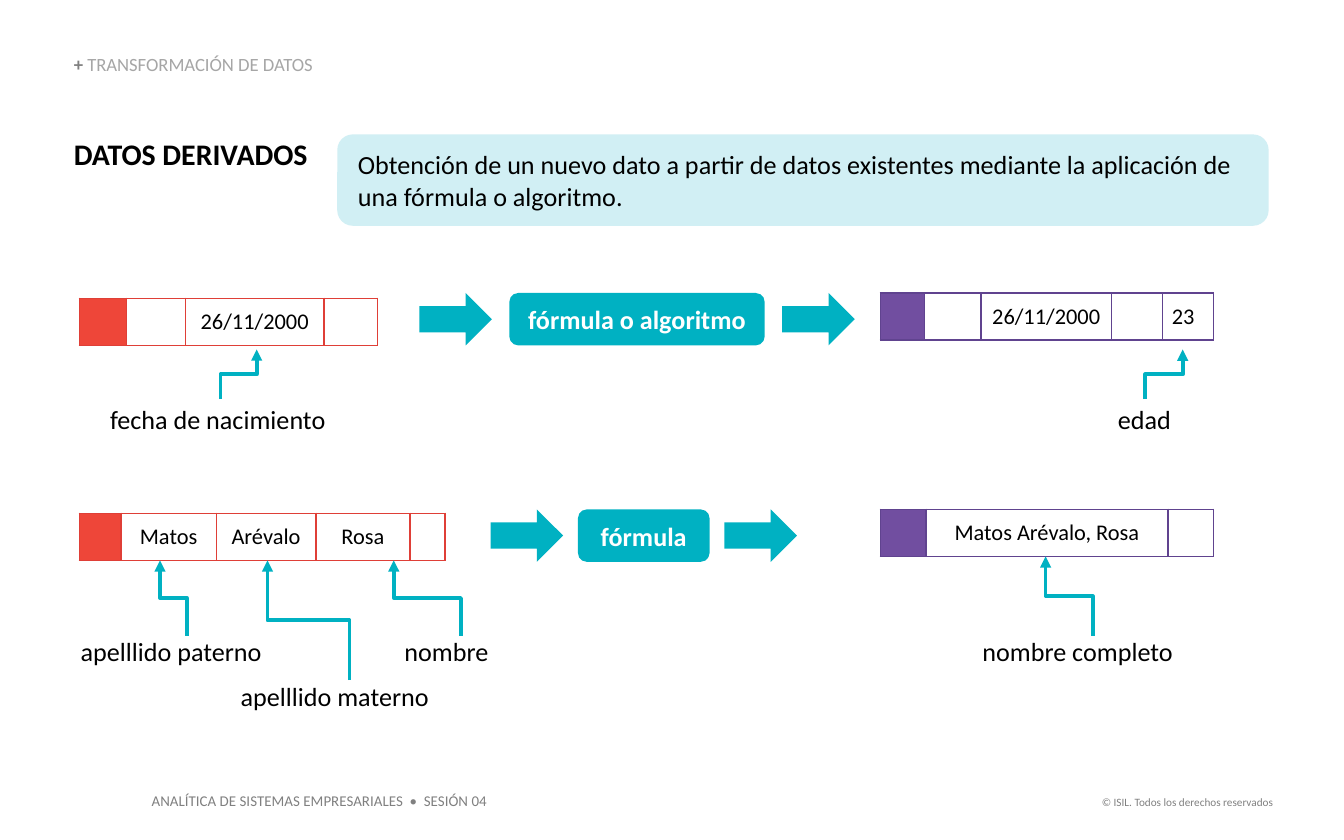
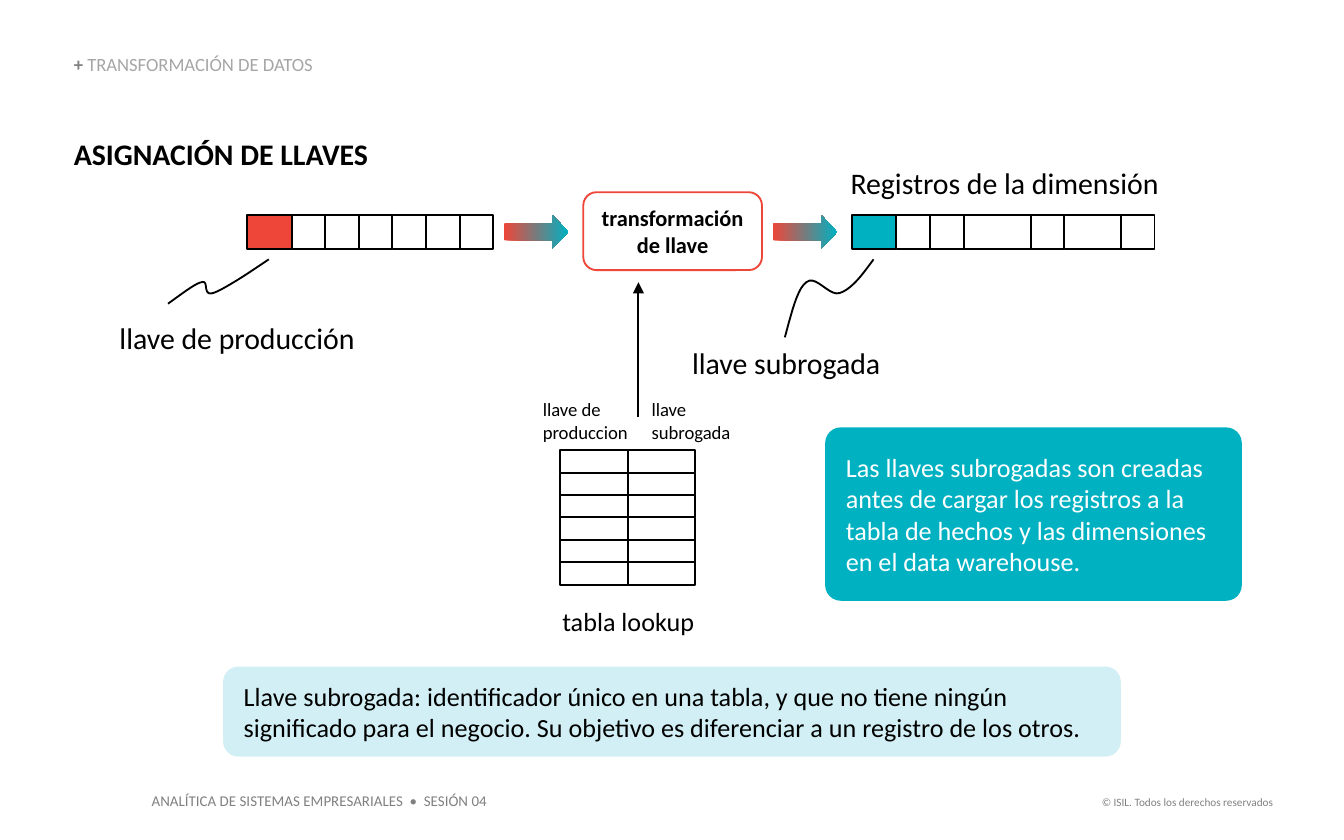
"""Builds two slides on derived data and key assignment."""
from lxml.etree import SubElement
from pptx import Presentation
from pptx.dml.color import RGBColor
from pptx.enum.shapes import MSO_CONNECTOR, MSO_SHAPE
from pptx.enum.text import MSO_ANCHOR, MSO_AUTO_SIZE, PP_ALIGN
from pptx.oxml.ns import qn
from pptx.util import Inches, Pt

COLORS = {
    "black": "000000", "white": "FFFFFF", "gray": "808080", "light_gray": "A6A6A6",
    "teal": "00B1C2", "pale_teal": "D1EFF4", "red": "EE4639", "red_border": "DF3F37",
    "purple": "714EA0", "purple_border": "60438F",
}
FONT = "Calibri"
LEFT, CENTER, RIGHT = PP_ALIGN.LEFT, PP_ALIGN.CENTER, PP_ALIGN.RIGHT
TOP, MIDDLE, BOTTOM = MSO_ANCHOR.TOP, MSO_ANCHOR.MIDDLE, MSO_ANCHOR.BOTTOM
NO_INSETS = (0, 0, 0, 0)
INSETS = (0.1, 0.05, 0.1, 0.05)
BOX_INSETS = (0.12, 0.05, 0.1, 0.05)
CELL_INSETS = (0.07, 0.03, 0.07, 0.03)

SECTION = [("+ ", "gray", True), ("TRANSFORMACIÓN DE DATOS", "light_gray", False)]
FOOTERS = [
    ("ANALÍTICA DE SISTEMAS EMPRESARIALES  •  SESIÓN 04", (1.03, 5.84, 2.7, 0.24), 8, LEFT),
    ("© ISIL. Todos los derechos reservados", (8.07, 5.87, 1.5, 0.2), 6, RIGHT),
]

DERIVED = {
    "definition": "Obtención de un nuevo dato a partir de datos existentes "
                  "mediante la aplicación de una fórmula o algoritmo.",
    "records": [
        ((0.59, 2.22), "red", [0.35, 0.44, 1.03, 0.4], ["", "", "26/11/2000", ""]),
        ((6.55, 2.18), "purple", [0.33, 0.42, 0.97, 0.38, 0.38], ["", "", "26/11/2000", "", "23"]),
        ((0.59, 3.82), "red", [0.31, 0.71, 0.74, 0.7, 0.26], ["", "Matos", "Arévalo", "Rosa", ""]),
        ((6.55, 3.79), "purple", [0.34, 1.8, 0.34], ["", "Matos Arévalo, Rosa", ""]),
    ],
    "processes": [
        ("fórmula o algoritmo", 2.18, 3.79, 1.9, (3.12, 5.82)),
        ("fórmula", 3.79, 4.3, 0.98, (3.65, 5.39)),
    ],
    "labels": [
        ("fecha de nacimiento", (0.72, 2.95, 1.82, 0.34), INSETS),
        ("edad", (8.22, 2.95, 0.6, 0.34), INSETS),
        ("apelllido paterno", (0.6, 4.73, 1.57, 0.24), NO_INSETS),
        ("apelllido materno", (1.79, 5.06, 1.62, 0.24), NO_INSETS),
        ("nombre", (3.01, 4.73, 0.83, 0.24), NO_INSETS),
        ("nombre completo", (7.31, 4.73, 1.63, 0.24), NO_INSETS),
    ],
    "pointers": [
        ((1.64, 2.97), (1.91, 2.6)), ((8.52, 2.97), (8.8, 2.6)),
        ((1.39, 4.73), (1.19, 4.17)), ((2.6, 5.06), (1.99, 4.17)),
        ((3.43, 4.73), (2.93, 4.17)), ((8.13, 4.73), (7.78, 4.14)),
    ],
}

KEYS = {
    "records": [
        (1.84, "red", [0.33] + [0.25] * 6),
        (6.34, "teal", [0.33, 0.25, 0.25, 0.5, 0.25, 0.42, 0.25]),
    ],
    "arrows": [3.75, 5.75],
    "labels": [
        ("llave de producción", (0.7, 2.33, 2.13, 0.37), 16, CENTER),
        ("llave subrogada", (4.97, 2.51, 1.76, 0.37), 16, CENTER),
        ("Registros de la dimensión", (6.23, 1.17, 2.88, 0.37), 16, LEFT),
        ("llave de\nproduccion", (3.94, 2.91, 0.88, 0.44), 10, LEFT),
        ("llave\nsubrogada", (4.75, 2.91, 0.86, 0.44), 10, LEFT),
        ("tabla lookup", (4.03, 4.45, 1.29, 0.34), 14, CENTER),
    ],
    "curves": [
        [(1.25, 2.26), (1.35, 2.19), (1.45, 2.11), (1.5, 2.1), (1.56, 2.08),
         (1.5, 2.21), (1.59, 2.18), (1.67, 2.15), (1.84, 2.04), (2, 1.93)],
        [(5.84, 2.51), (5.89, 2.33), (5.93, 2.15), (6, 2.1), (6.07, 2.04),
         (6.17, 2.21), (6.25, 2.18), (6.34, 2.15), (6.42, 2.04), (6.5, 1.93)],
    ],
    "boxes": [
        ("Llave subrogada: identificador único en una tabla, y que no tiene ningún significado "
         "para el negocio. Su objetivo es diferenciar a un registro de los otros.",
         (1.66, 4.96, 6.68, 0.67), "pale_teal", "black", 0.17),
        ("Las llaves subrogadas son creadas antes de cargar los registros a la tabla de hechos "
         "y las dimensiones en el data warehouse.",
         (6.14, 3.18, 3.1, 1.29), "teal", "white", 0.09),
    ],
}


def rgb(name):
    return RGBColor.from_string(COLORS[name])


def set_attributes(target, values):
    for name, value in values.items():
        setattr(target, name, value)


def inches(*lengths):
    return [Inches(length) for length in lengths]


def margins(insets):
    sides = ("margin_left", "margin_top", "margin_right", "margin_bottom")
    return dict(zip(sides, inches(*insets)))


def add_run(paragraph, text, size, color, bold=False):
    run = paragraph.add_run()
    run.text = text
    set_attributes(run.font, {"name": FONT, "size": Pt(size), "bold": bold})
    run.font.color.rgb = rgb(color)


def write(frame, text, size, color="black", bold=False, align=LEFT):
    for index, line in enumerate(text.split("\n")):
        paragraph = frame.add_paragraph() if index else frame.paragraphs[0]
        paragraph.alignment = align
        add_run(paragraph, line, size, color, bold)


def add_frame(slide, place, insets=NO_INSETS, anchor=TOP, wrap=True):
    frame = slide.shapes.add_textbox(*inches(*place)).text_frame
    set_attributes(frame, {"word_wrap": wrap, "auto_size": MSO_AUTO_SIZE.SHAPE_TO_FIT_TEXT,
                           "vertical_anchor": anchor, **margins(insets)})
    return frame


def paint(shape, fill=None, line=None):
    shape.shadow.inherit = False
    if fill:
        shape.fill.solid()
        shape.fill.fore_color.rgb = rgb(fill)
    else:
        shape.fill.background()
    if line:
        shape.line.color.rgb = rgb(line)
        shape.line.width = Pt(1)
    else:
        shape.line.fill.background()


def add_shape(slide, kind, place, fill=None, line=None):
    shape = slide.shapes.add_shape(kind, *inches(*place))
    paint(shape, fill, line)
    return shape


def add_box(slide, text, place, fill, color, adjustment=0.17, line=None,
            size=14, bold=False, align=LEFT, insets=BOX_INSETS):
    box = add_shape(slide, MSO_SHAPE.ROUNDED_RECTANGLE, place, fill, line)
    box.adjustments[0] = adjustment
    set_attributes(box.text_frame, {"word_wrap": True, "vertical_anchor": MIDDLE, **margins(insets)})
    write(box.text_frame, text, size, color, bold, align)


def add_arrow(slide, kind, points, color, width):
    connector = slide.shapes.add_connector(kind, *inches(*points))
    connector.line.color.rgb = rgb(color)
    connector.line.width = Pt(width)
    SubElement(connector.line._get_or_add_ln(), qn("a:tailEnd"), type="triangle")
    SubElement(connector._element.spPr, qn("a:effectLst"))
    return connector


def add_pointer(slide, start, end):
    middle_x, middle_y = (start[0] + end[0]) / 2, (start[1] + end[1]) / 2
    half_width, half_height = (start[1] - end[1]) / 2, (end[0] - start[0]) / 2
    points = (middle_x - half_width, middle_y - half_height,
              middle_x + half_width, middle_y + half_height)
    pointer = add_arrow(slide, MSO_CONNECTOR.ELBOW, points, "teal", 2)
    pointer._element.spPr.get_or_add_xfrm().set("rot", str(270 * 60000))


def add_borders(cell, color):
    properties = cell._tc.get_or_add_tcPr()
    for side in ("lnL", "lnR", "lnT", "lnB"):
        line = SubElement(properties, qn(f"a:{side}"), w=str(Pt(1)))
        SubElement(SubElement(line, qn("a:solidFill")), qn("a:srgbClr"), val=COLORS[color])


def add_record_table(slide, corner, color, widths, texts):
    place = (*corner, sum(widths), 0.35)
    table = slide.shapes.add_table(1, len(widths), *inches(*place)).table
    set_attributes(table, {"first_row": False, "horz_banding": False})
    for index, (width, text) in enumerate(zip(widths, texts)):
        table.columns[index].width = Inches(width)
        cell = table.cell(0, index)
        set_attributes(cell, {"vertical_anchor": MIDDLE, **margins(CELL_INSETS)})
        add_borders(cell, f"{color}_border")
        cell.fill.solid()
        cell.fill.fore_color.rgb = rgb("white" if index else color)
        if text:
            write(cell.text_frame, text, 12, align=LEFT if text == "23" else CENTER)
        else:
            SubElement(cell.text_frame.paragraphs[0]._p, qn("a:endParaRPr"), sz="1200")


def add_record_cells(slide, left, color, widths):
    for index, width in enumerate(widths):
        place = (left + sum(widths[:index]), 1.6, width, 0.25)
        add_shape(slide, MSO_SHAPE.RECTANGLE, place, None if index else color, "black")


def add_curve(slide, points, steps=10):
    sampled = []
    for first in range(0, len(points) - 1, 3):
        segment = points[first:first + 4]
        for step in range(1, steps + 1):
            t = step / steps
            weights = ((1 - t) ** 3, 3 * t * (1 - t) ** 2, 3 * t ** 2 * (1 - t), t ** 3)
            sampled.append(inches(*(sum(weight * point[axis] for weight, point in zip(weights, segment))
                                    for axis in (0, 1))))
    builder = slide.shapes.build_freeform(*inches(*points[0]))
    builder.add_line_segments(sampled, close=False)
    paint(builder.convert_to_shape(), line="black")


def add_base_slide(presentation, title):
    slide = presentation.slides.add_slide(presentation.slide_layouts[6])
    for text, place, size, align in FOOTERS:
        write(add_frame(slide, place, INSETS, wrap=False), text, size, "gray", align=align)
    paragraph = add_frame(slide, (0.55, 0.41, 2.66, 0.15), anchor=BOTTOM).paragraphs[0]
    paragraph.line_spacing = 0.9
    for text, color, bold in SECTION:
        add_run(paragraph, text, 10, color, bold)
    write(add_frame(slide, (0.55, 1.01, 3.04, 0.27)), title, 16, bold=True)
    return slide


def build_derived_slide(presentation):
    slide = add_base_slide(presentation, "DATOS DERIVADOS")
    add_box(slide, DERIVED["definition"], (2.51, 1, 6.93, 0.68), "pale_teal", "black")
    for record in DERIVED["records"]:
        add_record_table(slide, *record)
    for text, top, left, width, arrows in DERIVED["processes"]:
        add_box(slide, text, (left, top, width, 0.39), "teal", "white",
                bold=True, align=CENTER, insets=INSETS)
        for arrow_left in arrows:
            add_shape(slide, MSO_SHAPE.RIGHT_ARROW, (arrow_left, top, 0.54, 0.39), "teal")
    for text, place, insets in DERIVED["labels"]:
        write(add_frame(slide, place, insets), text, 14)
    for start, end in DERIVED["pointers"]:
        add_pointer(slide, start, end)


def build_keys_slide(presentation):
    slide = add_base_slide(presentation, "ASIGNACIÓN DE LLAVES")
    for record in KEYS["records"]:
        add_record_cells(slide, *record)
    add_box(slide, "transformación\nde llave", (4.34, 1.43, 1.33, 0.58), None, "black",
            line="red", size=12, bold=True, align=CENTER, insets=INSETS)
    for left in KEYS["arrows"]:
        arrow = add_shape(slide, MSO_SHAPE.RIGHT_ARROW, (left, 1.6, 0.48, 0.25))
        arrow.adjustments[1] = 0.48
        arrow.fill.gradient()
        arrow.fill.gradient_angle = 0
        for stop, color in zip(arrow.fill.gradient_stops, ("red", "teal")):
            stop.color.rgb = rgb(color)
    for row in range(6):
        for column in range(2):
            place = (4.17 + column * 0.5, 3.35 + row / 6, 0.5, 1 / 6)
            add_shape(slide, MSO_SHAPE.RECTANGLE, place, line="black")
    for text, place, size, align in KEYS["labels"]:
        write(add_frame(slide, place, INSETS, MIDDLE), text, size, align=align)
    add_arrow(slide, MSO_CONNECTOR.STRAIGHT, (4.75, 3.1, 4.75, 2.1), "black", 1)
    for points in KEYS["curves"]:
        add_curve(slide, points)
    for box in KEYS["boxes"]:
        add_box(slide, *box)


def main():
    presentation = Presentation()
    set_attributes(presentation, {"slide_width": Inches(10), "slide_height": Inches(6.25)})
    build_derived_slide(presentation)
    build_keys_slide(presentation)
    presentation.save("out.pptx")


if __name__ == "__main__":
    main()
